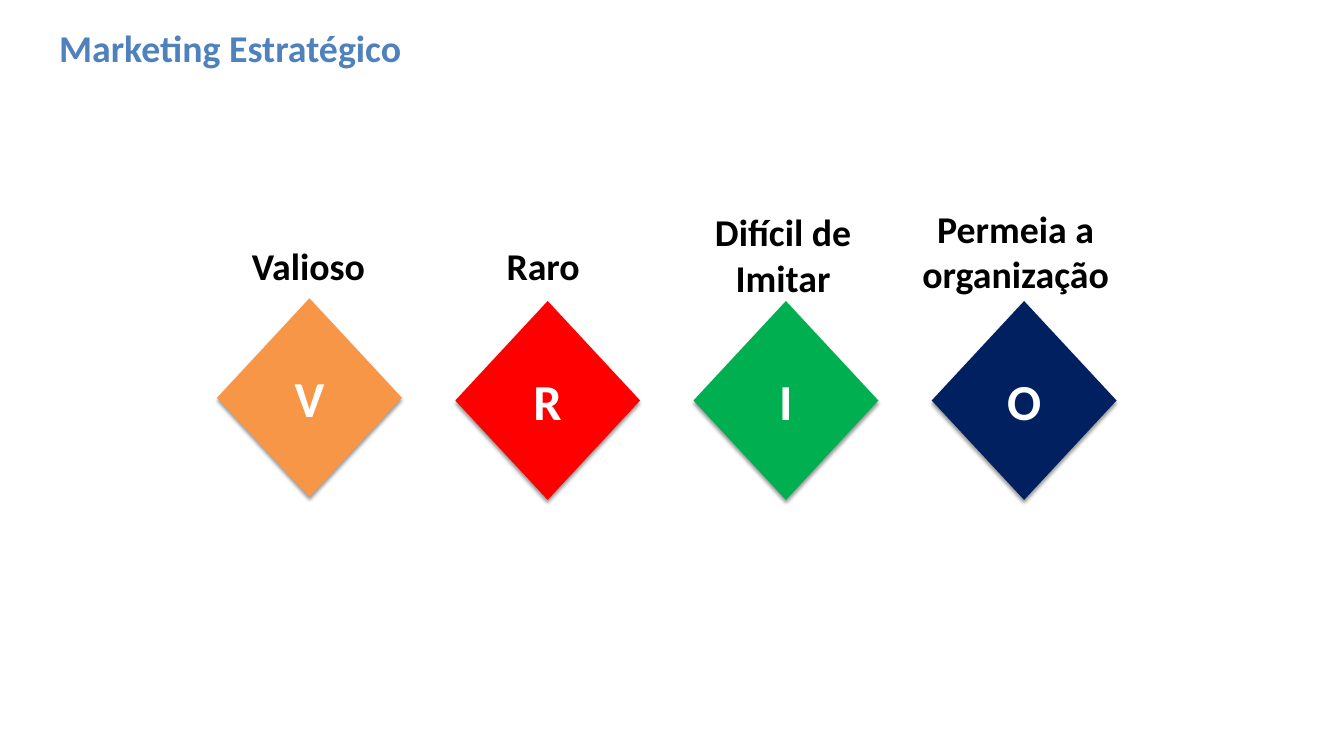
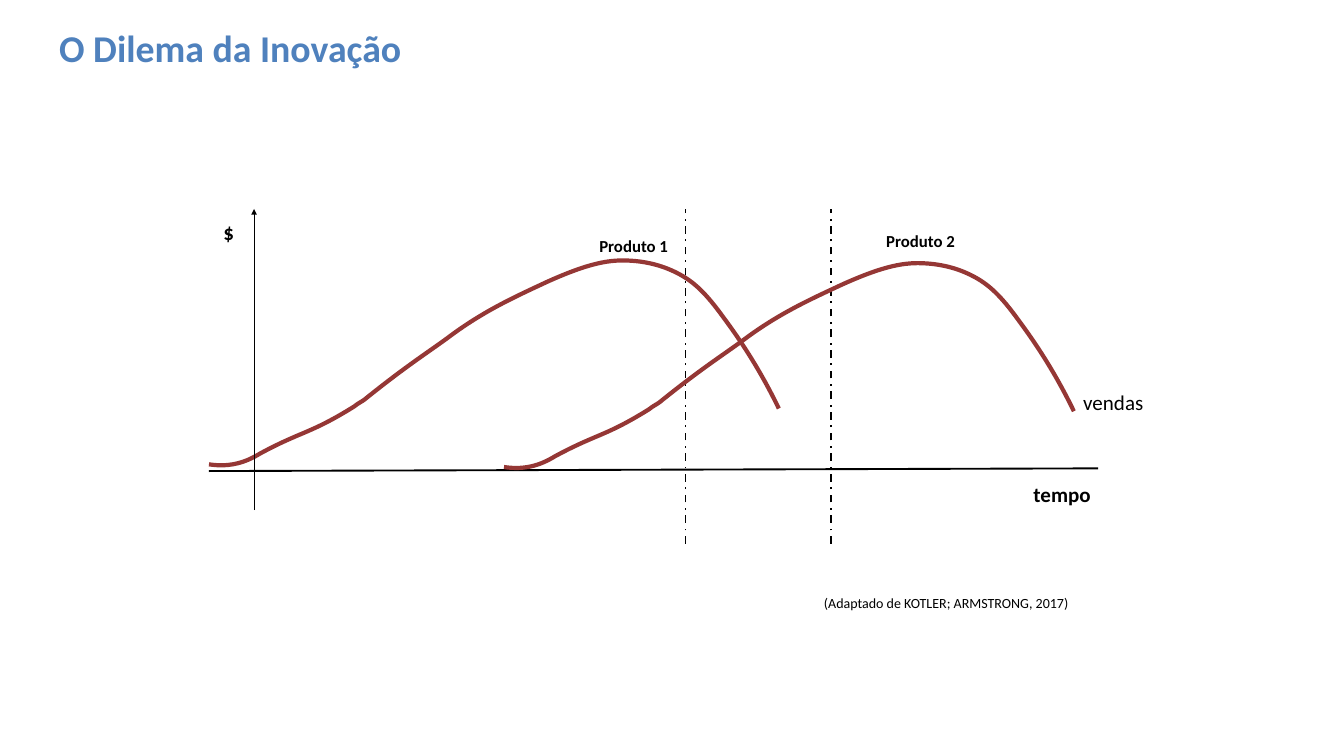
from lxml import etree
from pptx import Presentation
from pptx.dml.color import RGBColor
from pptx.enum.dml import MSO_LINE
from pptx.enum.shapes import MSO_CONNECTOR, MSO_SHAPE
from pptx.enum.text import MSO_ANCHOR, MSO_AUTO_SIZE, PP_ALIGN
from pptx.oxml import parse_xml
from pptx.oxml.ns import nsdecls, qn
from pptx.util import Inches, Pt

LEFT, CENTER, RIGHT = PP_ALIGN.LEFT, PP_ALIGN.CENTER, PP_ALIGN.RIGHT
MIDDLE = MSO_ANCHOR.MIDDLE
NO_AUTOSIZE = MSO_AUTO_SIZE.NONE
STRAIGHT = MSO_CONNECTOR.STRAIGHT
DIAMOND = MSO_SHAPE.FLOWCHART_DECISION
DASH_DOT = MSO_LINE.DASH_DOT

FONT = "Calibri"
TITLE_ONLY = 5
HEADING_SIZE = 40.5
COLORS = {
    "title": "4F81BD", "text": "000000", "white": "FFFFFF", "curve": "953735",
    "valuable": "F79646", "rare": "FF0000", "inimitable": "00B050", "organized": "002060",
}

# Sales curve, from its end back to its start: a first point, then Bezier triples
SALES_CURVE = [
    (15.98, 6.12),
    (15.69, 5.52), (15.39, 5.08), (15.16, 4.77),
    (14.9, 4.41), (14.72, 4.23), (14.46, 4.1),
    (14.4, 4.07), (14.15, 3.94), (13.77, 3.92),
    (13.47, 3.9), (13.16, 3.95), (12.52, 4.24),
    (12.05, 4.46), (11.58, 4.67), (11.05, 5.07),
    (10.75, 5.29), (10.43, 5.49), (9.81, 5.99),
    (9.77, 6.02), (9.72, 6.04), (9.66, 6.09),
    (9, 6.5), (8.89, 6.45), (8.26, 6.79),
    (8.16, 6.85), (8, 6.94), (7.78, 6.96),
    (7.66, 6.97), (7.56, 6.96), (7.5, 6.95),
]


def color(name):
    return RGBColor.from_string(COLORS[name])


def write(frame, text, size, bold=True, ink="text", align=LEFT):
    para = frame.paragraphs[0]
    para.text = text
    para.alignment = align
    para.font.name = FONT
    para.font.size = Pt(size)
    para.font.bold = bold
    para.font.color.rgb = color(ink)


def add_titled_slide(deck, text):
    slide = deck.slides.add_slide(deck.slide_layouts[TITLE_ONLY])
    title = slide.shapes.title
    title.left, title.top = Inches(0.78), Inches(0.35)
    title.width, title.height = Inches(13.65), Inches(0.71)
    title.text_frame.auto_size = NO_AUTOSIZE
    title.text_frame.vertical_anchor = MIDDLE
    write(title.text_frame, text, HEADING_SIZE, ink="title")
    return slide


def add_label(slide, text, left, top, width, height, size, bold=True, align=LEFT, wrap=True):
    box = slide.shapes.add_textbox(Inches(left), Inches(top), Inches(width), Inches(height))
    box.text_frame.word_wrap = wrap
    write(box.text_frame, text, size, bold, align=align)
    return box


def add_diamond(slide, letter, left, top, fill):
    diamond = slide.shapes.add_shape(DIAMOND, Inches(left), Inches(top), Inches(2.75), Inches(2.96))
    diamond.fill.solid()
    diamond.fill.fore_color.rgb = color(fill)
    diamond.line.fill.background()
    diamond.shadow.inherit = False
    effects = diamond._element.spPr.find(qn("a:effectLst"))
    effects.append(parse_xml(
        f'<a:outerShdw {nsdecls("a")} blurRad="{Pt(4)}" dist="{Pt(3)}" dir="5400000" rotWithShape="0">'
        '<a:srgbClr val="000000"><a:alpha val="40000"/></a:srgbClr></a:outerShdw>'))
    diamond.text_frame.vertical_anchor = MIDDLE
    write(diamond.text_frame, letter, 54, ink="white", align=CENTER)


def add_line(slide, start, end, width, dash=None, arrow=False):
    line = slide.shapes.add_connector(STRAIGHT, *map(Inches, start + end))
    line.line.color.rgb = color("text")
    line.line.width = Pt(width)
    if dash:
        line.line.dash_style = dash
    if arrow:
        etree.SubElement(line.line._get_or_add_ln(), qn("a:tailEnd"), type="triangle")
    etree.SubElement(line._element.spPr, qn("a:effectLst"))


def add_curve(slide, points):
    scaled = [(Inches(x), Inches(y)) for x, y in points]
    builder = slide.shapes.build_freeform(*scaled[0])
    builder.add_line_segments(scaled[1:], close=False)
    curve = builder.convert_to_shape()
    # Turn each three straight segments into one Bezier segment
    outline = curve._element.xpath(".//a:path")[0]
    segments = outline.findall(qn("a:lnTo"))
    for first in range(0, len(segments), 3):
        bezier = etree.SubElement(outline, qn("a:cubicBezTo"))
        for segment in segments[first:first + 3]:
            bezier.append(segment[0])
            outline.remove(segment)
    curve.fill.background()
    curve.line.color.rgb = color("curve")
    curve.line.width = Pt(4.5)
    curve.shadow.inherit = False


def build_vrio(deck):
    slide = add_titled_slide(deck, "Marketing Estratégico")
    # One diamond per criterion, at an equal pitch
    diamonds = [("V", 4.44, "valuable"), ("R", 4.48, "rare"),
                ("I", 4.48, "inimitable"), ("O", 4.48, "organized")]
    for index, (letter, top, fill) in enumerate(diamonds):
        add_diamond(slide, letter, 3.23 + 3.545 * index, top, fill)
    # Criterion names
    add_label(slide, "Valioso", 3.65, 3.56, 1.9, 0.78, HEADING_SIZE, wrap=False)
    add_label(slide, "Raro", 7.44, 3.56, 1.3, 0.78, HEADING_SIZE, wrap=False)
    add_label(slide, "Difícil de Imitar", 10.24, 3.06, 2.83, 1.46, HEADING_SIZE, align=CENTER)
    add_label(slide, "Permeia a organização", 12.91, 3.01, 4.41, 1.46, HEADING_SIZE, align=CENTER)


def build_innovation_dilemma(deck):
    slide = add_titled_slide(deck, "O Dilema da Inovação")
    # Source and axis labels
    add_label(slide, "(Adaptado de KOTLER; ARMSTRONG, 2017)", 12.13, 8.79, 3.87, 0.35, 15,
              bold=False, align=RIGHT, wrap=False)
    add_label(slide, "$", 1.84, 3.22, 1.74, 0.48, 22.5, align=RIGHT)
    time_label = add_label(slide, "tempo", 15.28, 7.11, 1.5, 0.48, 22.5)
    time_label.fill.solid()
    time_label.fill.fore_color.rgb = color("white")
    add_label(slide, "vendas", 16.02, 5.75, 1.42, 0.48, 22.5, bold=False)
    # Time axis, and the limits of the transition between products
    add_line(slide, (16.34, 6.97), (3.11, 7.01), 2)
    for limit in (10.2, 12.36):
        add_line(slide, (limit, 8.09), (limit, 3.11), 2, dash=DASH_DOT)
    # Both products follow the same sales curve
    for shift_x, shift_y in ((0, 0), (-4.39, -0.04)):
        add_curve(slide, [(x + shift_x, y + shift_y) for x, y in SALES_CURVE])
    add_label(slide, "Produto 1", 8.82, 3.46, 1.23, 0.4, 18, wrap=False)
    add_label(slide, "Produto 2", 13.09, 3.39, 1.23, 0.4, 18, wrap=False)
    # Money axis
    add_line(slide, (3.78, 7.59), (3.78, 3.11), 0.75, arrow=True)


def main():
    deck = Presentation()
    deck.slide_width, deck.slide_height = Inches(20), Inches(11.25)
    build_vrio(deck)
    build_innovation_dilemma(deck)
    deck.save("out.pptx")


if __name__ == "__main__":
    main()
